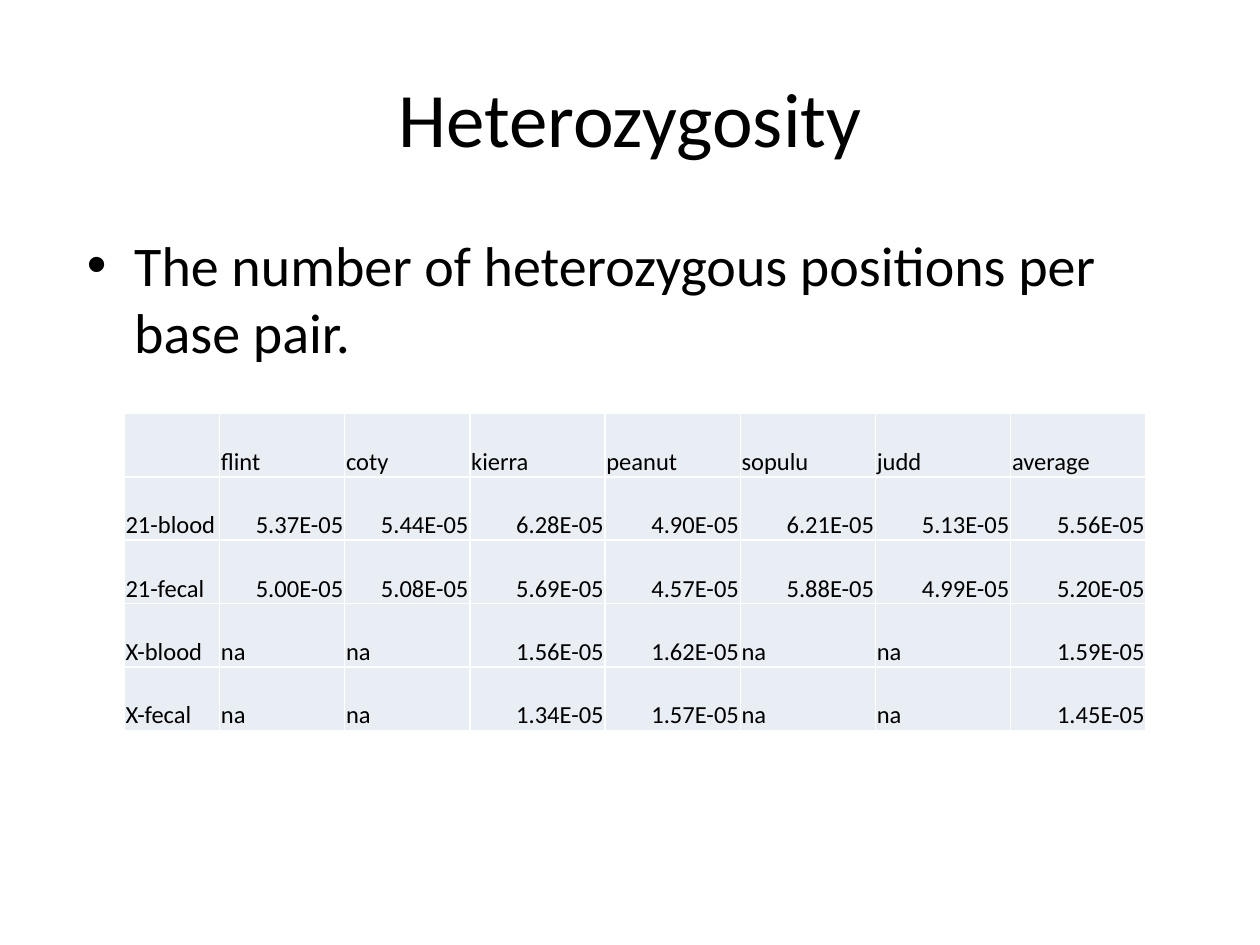
from lxml.etree import SubElement
from pptx import Presentation
from pptx.dml.color import RGBColor
from pptx.enum.text import MSO_ANCHOR, PP_ALIGN
from pptx.oxml.ns import qn
from pptx.util import Pt

INK, TINT, RULE = "000000", "E9EDF4", "FFFFFF"
COLS = [54.5] + [71.5] * 2 + [77.3] * 5
ROWS = [
    ["", "flint", "coty", "kierra", "peanut", "sopulu", "judd", "average"],
    ["21-blood", "5.37E-05", "5.44E-05", "6.28E-05", "4.90E-05",
     "6.21E-05", "5.13E-05", "5.56E-05"],
    ["21-fecal", "5.00E-05", "5.08E-05", "5.69E-05", "4.57E-05",
     "5.88E-05", "4.99E-05", "5.20E-05"],
    ["X-blood", "na", "na", "1.56E-05", "1.62E-05", "na", "na", "1.59E-05"],
    ["X-fecal", "na", "na", "1.34E-05", "1.57E-05", "na", "na", "1.45E-05"],
]
CELL = {
    "vertical_anchor": MSO_ANCHOR.BOTTOM,
    "margin_left": Pt(0.75),
    "margin_right": Pt(0.75),
    "margin_top": Pt(0.75),
    "margin_bottom": Pt(0),
}


def tone(code):
    return RGBColor.from_string(code)


def apply(item, form):
    for name, value in form.items():
        setattr(item, name, value)


def write(para, text, size, align=None):
    para.text = text
    para.alignment = align
    apply(para.font, {"name": "Calibri", "size": Pt(size)})
    para.font.color.rgb = tone(INK)
    for run in para.runs:
        apply(run.font, {"name": "Calibri", "size": Pt(size)})
        run.font.color.rgb = tone(INK)


def place(holder, box, text, size, anchor, align=None):
    names = ("left", "top", "width", "height")
    apply(holder, dict(zip(names, map(Pt, box))))
    holder.text_frame.vertical_anchor = anchor
    write(holder.text_frame.paragraphs[0], text, size, align)


def edge(cell):
    # Thin rules on all four sides
    props = cell._tc.get_or_add_tcPr()
    for side in ("lnL", "lnR", "lnT", "lnB"):
        line = SubElement(props, qn("a:" + side), w=str(Pt(1)))
        fill = SubElement(line, qn("a:solidFill"))
        SubElement(fill, qn("a:srgbClr"), val=RULE)


def grid(slide, box):
    left, top, width, height = map(Pt, box)
    table = slide.shapes.add_table(
        len(ROWS), len(COLS), left, top, width, height).table
    apply(table, {"first_row": False, "horz_banding": False})
    for col, size in zip(table.columns, COLS):
        col.width = Pt(size)
    for r, row in enumerate(ROWS):
        for c, text in enumerate(row):
            cell = table.cell(r, c)
            apply(cell, CELL)
            edge(cell)
            cell.fill.solid()
            cell.fill.fore_color.rgb = tone(TINT)
            # Numbers sit right, words left
            align = PP_ALIGN.RIGHT if "E-" in text else PP_ALIGN.LEFT
            write(cell.text_frame.paragraphs[0], text, 14, align)


def main():
    deck = Presentation()
    apply(deck, {"slide_width": Pt(720), "slide_height": Pt(540)})
    slide = deck.slides.add_slide(deck.slide_layouts[1])

    # Title and definition
    place(slide.shapes.title, (36, 21.6, 648, 90), "Heterozygosity", 44,
          MSO_ANCHOR.MIDDLE, PP_ALIGN.CENTER)
    place(slide.placeholders[1], (42.5, 128.2, 648, 356.4),
          "The number of heterozygous positions per base pair.", 32,
          MSO_ANCHOR.TOP)

    # Rates by sample
    grid(slide, (71, 236.2, sum(COLS), 181.25))
    deck.save("out.pptx")


if __name__ == "__main__":
    main()
